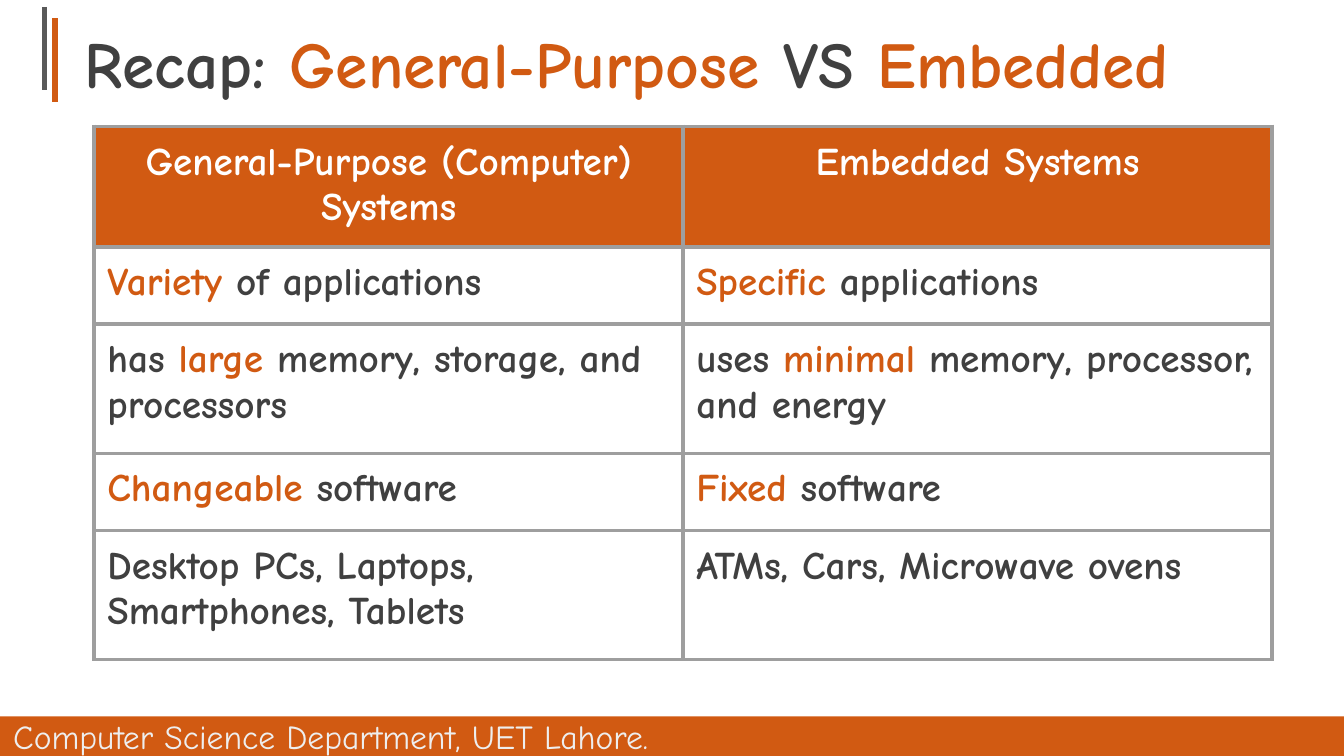
from lxml import etree
from pptx import Presentation
from pptx.dml.color import RGBColor
from pptx.enum.shapes import MSO_CONNECTOR as Connector, MSO_SHAPE as Shape
from pptx.enum.text import MSO_ANCHOR as Anchor, MSO_AUTO_SIZE as AutoSize, PP_ALIGN as Align
from pptx.oxml import parse_xml
from pptx.oxml.ns import nsdecls, qn
from pptx.util import Cm, Pt

ORANGE, DARK, GREY, WHITE = "D15A12", "404040", "9E9E9E", "FFFFFF"


def color(value):
    return RGBColor.from_string(value)


def write(para, text, size, base=DARK, bold=True):
    """Fill a paragraph; parts between asterisks are orange."""
    for index, part in enumerate(text.split("*")):
        if part:
            span = para.add_run()
            span.text = part
            span.font.color.rgb = color(ORANGE if index % 2 else base)
    para.font.name = "Comic Neue"
    para.font.size = Pt(size)
    para.font.bold = bold


deck = Presentation()
deck.slide_width, deck.slide_height = Cm(25.4), Cm(14.29)
page = deck.slides.add_slide(deck.slide_layouts[5])

# Title
title = page.shapes.title
title.left, title.top, title.width, title.height = Cm(0), Cm(0), Cm(25.4), Cm(2.18)
frame = title.text_frame
frame.auto_size = AutoSize.NONE
frame.word_wrap = True
frame.vertical_anchor = Anchor.BOTTOM
frame.margin_left = Cm(1.6)
frame.margin_right = frame.margin_top = frame.margin_bottom = Cm(0.25)
frame.paragraphs[0].alignment = Align.LEFT
write(frame.paragraphs[0], "Recap: *General-Purpose* VS *Embedded*", 35)

# Two bars beside the title
for x, top, bar_color in ((1.04, 0.35, ORANGE), (0.84, 0.13, "595959")):
    bar = page.shapes.add_connector(Connector.STRAIGHT, Cm(x), Cm(top), Cm(x), Cm(top + 1.58))
    bar.line.color.rgb = color(bar_color)
    bar.line.width = Pt(3)
    etree.SubElement(bar.element.spPr, qn("a:effectLst"))

# Footer band and text
band = page.shapes.add_shape(Shape.RECTANGLE, Cm(0), Cm(13.54), Cm(25.4), Cm(0.75))
band.shadow.inherit = False
band.fill.solid()
band.fill.fore_color.rgb = color(ORANGE)
band.line.fill.background()
footer = page.shapes.add_textbox(Cm(0), Cm(13.41), Cm(16.2), Cm(1.73))
footer.text_frame.word_wrap = True
write(footer.text_frame.paragraphs[0], "Computer Science Department, UET Lahore.",
      18, "EEEEEE", False)

# Comparison table
rows = [
    ("General-Purpose (Computer) Systems", "Embedded Systems"),
    ("*Variety *of applications", "*Specific *applications"),
    ("has *large *memory, storage, and processors",
     "uses *minimal *memory, processor, and energy"),
    ("*Changeable *software", "*Fixed *software"),
    ("Desktop PCs, Laptops, Smartphones, Tablets", "ATMs, Cars, Microwave ovens"),
]
heights = [2.2, 1.46, 2.44, 1.46, 2.44]
table = page.shapes.add_table(len(rows), 2, Cm(1.78), Cm(2.39), Cm(22.26), Cm(sum(heights))).table
for row, (texts, height) in enumerate(zip(rows, heights)):
    table.rows[row].height = Cm(height)
    for column, text in enumerate(texts):
        cell = table.cell(row, column)
        cell.margin_left = cell.margin_right = Cm(0.25)
        cell.margin_top = cell.margin_bottom = Cm(0.25)
        para = cell.text_frame.paragraphs[0]
        if row == 0:
            cell.fill.solid()
            cell.fill.fore_color.rgb = color(ORANGE)
            para.alignment = Align.CENTER
        else:
            cell.fill.background()
        write(para, text, 21, DARK if row else WHITE)
        # Cell borders come before the fill
        properties = cell._tc.get_or_add_tcPr()
        for position, side in enumerate("LRTB"):
            properties.insert(position, parse_xml(
                f'<a:ln{side} {nsdecls("a")} w="{Pt(2.25)}"><a:solidFill>'
                f'<a:srgbClr val="{GREY}"/></a:solidFill></a:ln{side}>'))

deck.save("out.pptx")
